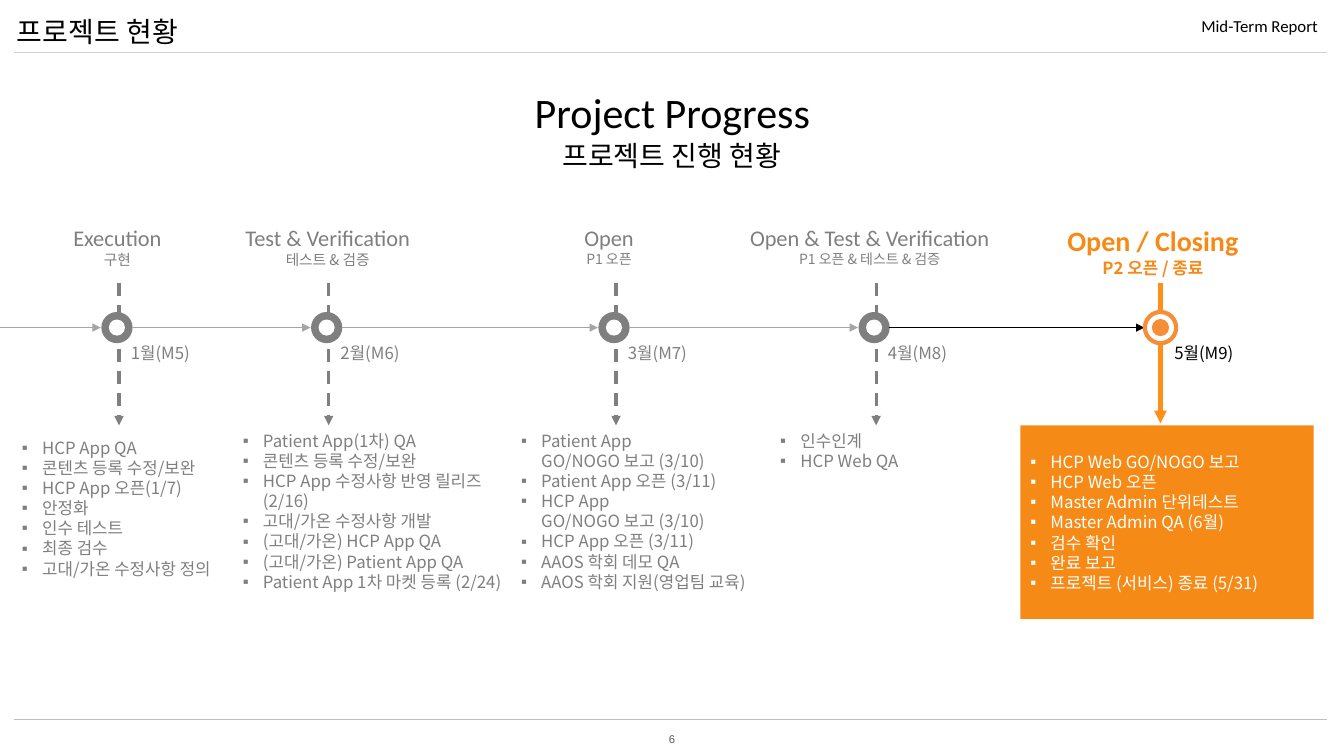
from dataclasses import dataclass
from typing import Optional

import pptx
import pptx.dml.color
import pptx.enum.dml
import pptx.enum.shapes
import pptx.enum.text
import pptx.oxml
import pptx.oxml.ns
import pptx.util
from pptx.util import Inches

KO = "Noto Sans CJK KR"
EN = "Calibri"
GRAY, ORANGE, BLACK, WHITE = "7F7F7F", "F68A16", "000000", "FFFFFF"
GLOW = "F68E38"
SHAPE = pptx.enum.shapes.MSO_SHAPE
ALIGN = pptx.enum.text.PP_ALIGN
FIT = pptx.enum.text.MSO_AUTO_SIZE
MIDDLE = pptx.enum.text.MSO_ANCHOR.MIDDLE
AXIS = 3.25


@dataclass
class Box:
    left: float
    top: float
    width: float
    height: float


@dataclass
class Line:
    text: str
    size: float
    font: str = KO


@dataclass
class Stage:
    mid: float          # centre of the marker
    title: str
    sub: str
    small: float        # size of the subtitle
    head: Box
    month: str
    tasks: list[str]
    list_box: Box
    now: bool = False   # current stage, drawn in orange


STAGES = [
    Stage(1.16, "Execution", "구현", 10.5, Box(0.6, 2.17, 1.13, 0.55), "1월(M5)",
          ["HCP App QA", "콘텐츠 등록 수정/보완", "HCP App 오픈(1/7)", "안정화",
           "인수 테스트", "최종 검수", "고대/가온 수정사항 정의"],
          Box(0.12, 4.29, 2.16, 1.51)),
    Stage(3.24, "Test & Verification", "테스트 & 검증", 10.5,
          Box(2.28, 2.17, 1.94, 0.55), "2월(M6)",
          ["Patient App(1차) QA", "콘텐츠 등록 수정/보완",
           "HCP App 수정사항 반영 릴리즈(2/16)", "고대/가온 수정사항 개발",
           "(고대/가온) HCP App QA", "(고대/가온) Patient App QA",
           "Patient App 1차 마켓 등록 (2/24)"],
          Box(2.31, 4.22, 2.81, 1.72)),
    Stage(6.09, "Open", "P1 오픈", 10, Box(5.69, 2.17, 0.7, 0.54), "3월(M7)",
          ["Patient App\vGO/NOGO 보고 (3/10)", "Patient App 오픈 (3/11)",
           "HCP App\vGO/NOGO 보고 (3/10)", "HCP App 오픈 (3/11)",
           "AAOS 학회 데모 QA", "AAOS 학회 지원(영업팀 교육)"],
          Box(5.07, 4.22, 2.63, 1.72)),
    Stage(8.67, "Open & Test & Verification", "P1 오픈 & 테스트 & 검증", 10,
          Box(7.28, 2.17, 2.69, 0.54), "4월(M8)",
          ["인수인계", "HCP Web QA"], Box(7.64, 4.22, 2.21, 0.5)),
    Stage(11.51, "Open / Closing", "P2 오픈 / 종료", 12,
          Box(10.45, 2.17, 1.97, 0.64), "5월(M9)",
          ["HCP Web GO/NOGO 보고", "HCP Web 오픈", "Master Admin 단위테스트",
           "Master Admin QA (6월)", "검수 확인", "완료 보고",
           "프로젝트 (서비스) 종료 (5/31)"],
          Box(10.12, 4.22, 2.91, 1.92), now=True),
]


def rgb(code: str) -> pptx.dml.color.RGBColor:
    return pptx.dml.color.RGBColor.from_string(code)


def place(box: Box) -> list[int]:
    return [Inches(n) for n in (box.left, box.top, box.width, box.height)]


def add_xml(node, tag: str, **attrs: str):
    child = pptx.oxml.parse_xml(f"<a:{tag} {pptx.oxml.ns.nsdecls('a')}/>")
    for key, val in attrs.items():
        child.set(key, val)
    node.append(child)
    return child


def add_bullet(para, color: str) -> None:
    props = para._p.get_or_add_pPr()
    props.set("marL", str(Inches(0.2)))
    props.set("indent", str(Inches(-0.2)))
    add_xml(add_xml(props, "buClr"), "srgbClr", val=color)
    add_xml(props, "buFont", typeface="Arial")
    add_xml(props, "buChar", char="▪")


def write(frame, lines: list[Line], color: str, align=ALIGN.LEFT,
          bold: bool = False, bullet: bool = False) -> None:
    frame.word_wrap = True
    for num, line in enumerate(lines):
        para = frame.add_paragraph() if num else frame.paragraphs[0]
        para.text = line.text
        para.alignment = align
        if bullet:
            add_bullet(para, color)
        for run in para.runs:
            run.font.size = pptx.util.Pt(line.size)
            run.font.bold = bold
            run.font.color.rgb = rgb(color)
            run.font.name = line.font
            add_xml(run._r.get_or_add_rPr(), "ea", typeface=KO)


def add_text(shapes, box: Box, lines: list[Line], color: str = BLACK,
             align=ALIGN.CENTER, bold: bool = False, bullet: bool = False):
    frame = shapes.add_textbox(*place(box)).text_frame
    write(frame, lines, color, align, bold, bullet)
    frame.auto_size = FIT.SHAPE_TO_FIT_TEXT
    return frame


def add_line(shapes, start: tuple[float, float], end: tuple[float, float],
             color: str, width: float = 0.75, arrow: bool = True,
             dash: bool = False) -> None:
    link = shapes.add_connector(pptx.enum.shapes.MSO_CONNECTOR.STRAIGHT,
                                *(Inches(n) for n in (*start, *end)))
    link.line.color.rgb = rgb(color)
    link.line.width = pptx.util.Pt(width)
    if dash:
        link.line.dash_style = pptx.enum.dml.MSO_LINE.DASH
    if arrow:
        add_xml(link.line._get_or_add_ln(), "tailEnd", type="triangle")
    add_xml(link._element.spPr, "effectLst")


def add_shape(shapes, kind, box: Box, fill: str,
              edge: Optional[str] = None, width: float = 0.75):
    shape = shapes.add_shape(kind, *place(box))
    shape.shadow.inherit = False
    shape.fill.solid()
    shape.fill.fore_color.rgb = rgb(fill)
    if edge:
        shape.line.color.rgb = rgb(edge)
        shape.line.width = pptx.util.Pt(width)
    else:
        shape.line.fill.background()
    return shape


def add_ring(shapes, stage: Stage) -> None:
    looks = ([(0.31, WHITE, GLOW, 3), (0.16, GLOW, GLOW, 0.75)] if stage.now
             else [(0.31, GRAY, None, 0), (0.16, WHITE, None, 0)])
    group = shapes.add_group_shape()
    for size, fill, edge, width in looks:
        box = Box(stage.mid - size / 2, AXIS - size / 2, size, size)
        add_shape(group.shapes, SHAPE.OVAL, box, fill, edge, width)


def add_stage(shapes, stage: Stage, prev: float) -> None:
    tone = ORANGE if stage.now else GRAY
    # Heading and month
    add_text(shapes, stage.head,
             [Line(stage.title, 20 if stage.now else 16, EN),
              Line(stage.sub, stage.small)], tone, bold=stage.now)
    add_text(shapes, Box(stage.mid + 0.03, 3.35, 0.8, 0.3),
             [Line(stage.month, 12)], BLACK if stage.now else GRAY)
    # Axis arrow, drop arrow and marker
    add_line(shapes, (prev, AXIS), (stage.mid - 0.16, AXIS),
             BLACK if stage.now else "A5A5A5")
    if stage.now:
        add_line(shapes, (stage.mid, 2.81), (stage.mid, 4.2), "FF8F19", 3)
    else:
        add_line(shapes, (stage.mid + 0.02, 2.81), (stage.mid + 0.02, 4.22),
                 GRAY, 2.25, dash=True)
    add_ring(shapes, stage)
    # Task list
    tasks = [Line(task, 12) for task in stage.tasks]
    if stage.now:
        panel = add_shape(shapes, SHAPE.RECTANGLE, stage.list_box, ORANGE)
        panel.text_frame.vertical_anchor = MIDDLE
        write(panel.text_frame, tasks, WHITE, bullet=True)
    else:
        add_text(shapes, stage.list_box, tasks, GRAY, ALIGN.LEFT, bullet=True)


def main() -> None:
    deck = pptx.Presentation()
    deck.slide_width, deck.slide_height = Inches(13.33), Inches(7.5)
    shapes = deck.slides.add_slide(deck.slide_layouts[6]).shapes

    # Header and footer
    for y, color in ((0.52, "D0CECE"), (7.14, "BFBFBF")):
        add_line(shapes, (0.14, y), (13.16, y), color, arrow=False)
    add_text(shapes, Box(0.07, 0.09, 2.1, 0.44),
             [Line("프로젝트 현황", 20)], align=ALIGN.LEFT)
    add_text(shapes, Box(10.82, 0.11, 2.35, 0.3),
             [Line("Mid-Term Report", 12, EN)], align=ALIGN.RIGHT)
    page = add_text(shapes, Box(5.5, 7.21, 2.33, 0.24),
                    [Line("6", 8, "Arial")], "595959")
    page.vertical_anchor = MIDDLE

    # Title
    add_text(shapes, Box(4.88, 0.81, 3.58, 0.61),
             [Line("Project Progress", 30, EN)])
    add_text(shapes, Box(5.3, 1.33, 2.73, 0.44),
             [Line("프로젝트 진행 현황", 20)])

    # Timeline
    prev = 0.0
    for stage in STAGES:
        add_stage(shapes, stage, prev)
        prev = stage.mid + 0.15
    deck.save("out.pptx")


if __name__ == "__main__":
    main()
